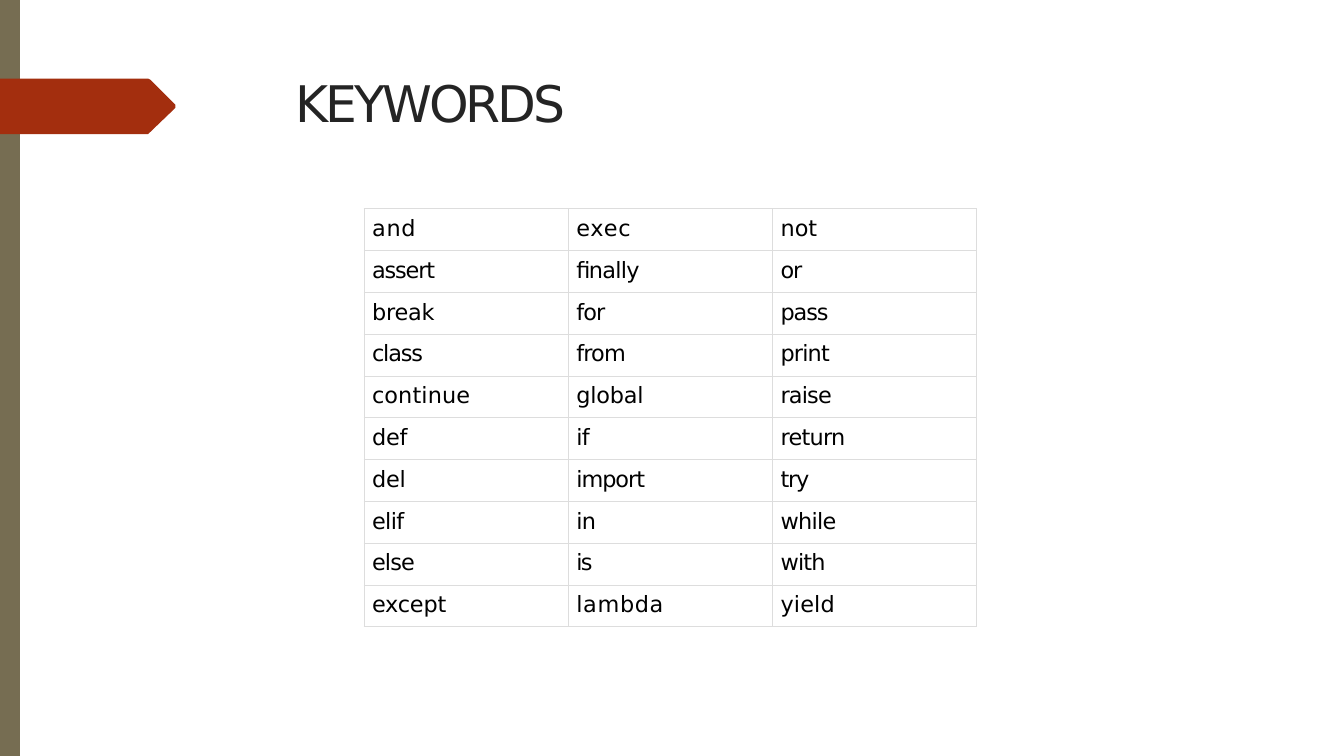
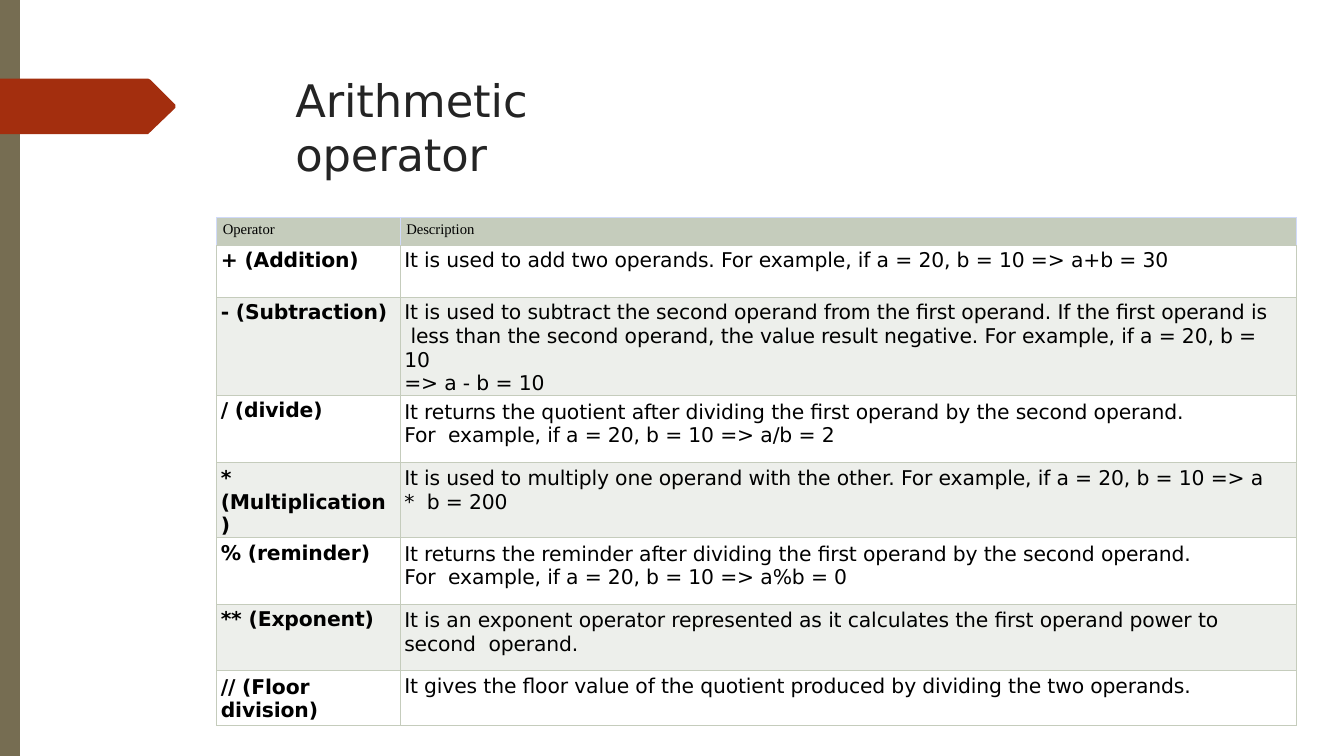
import pptx
import pptx.util
import pptx.dml.color
import pptx.enum.text
import pptx.oxml.ns
import lxml.etree

Inches = pptx.util.Inches
Pt = pptx.util.Pt
RGBColor = pptx.dml.color.RGBColor

OLIVE = RGBColor(0x76, 0x6D, 0x52)
RUST = RGBColor(0xA3, 0x2E, 0x0E)
INK = RGBColor(0x24, 0x24, 0x24)
BLACK = RGBColor(0, 0, 0)
WHITE = RGBColor(255, 255, 255)
SAGE = RGBColor(0xC5, 0xCC, 0xBC)
MIST = RGBColor(0xED, 0xEF, 0xEB)
GREY = RGBColor(0xDD, 0xDD, 0xDD)
SKY = RGBColor(0xD0, 0xDA, 0xFA)

SANS = "DejaVu Sans"
WORD = {"name": SANS, "size": Pt(16)}
HEAD = {"name": "Times New Roman", "size": Pt(10.5)}
NAME = {"name": SANS, "size": Pt(14.5), "bold": True}
BODY = {"name": SANS, "size": Pt(14.5), "bold": False}

STRIPE = [(0, 0), (0.2, 0), (0.2, 7.5), (0, 7.5)]
ARROW = [(0, 0.78), (1.47, 0.78), (1.49, 0.79), (1.74, 1.04),
         (1.74, 1.07), (1.48, 1.32), (1.47, 1.33), (0, 1.33)]

WORDS = [
    [("and", 0.6), ("exec", 0.6), ("not", 0)],
    [("assert", -0.8), ("finally", -0.5), ("or", -0.9)],
    [("break", -0.1), ("for", -0.6), ("pass", -0.8)],
    [("class", -0.8), ("from", -0.6), ("print", -0.6)],
    [("continue", 0.1), ("global", -0.1), ("raise", -0.6)],
    [("def", -0.1), ("if", -0.4), ("return", -0.5)],
    [("del", -0.1), ("import", -0.7), ("try", -0.9)],
    [("elif", -0.4), ("in", -0.4), ("while", -0.5)],
    [("else", -0.6), ("is", -1.2), ("with", -0.6)],
    [("except", -0.1), ("lambda", 0.5), ("yield", 0.1)],
]

RULES = [
    ("+ (Addition)",
     "It is used to add two operands. For example, if a = 20, b = 10 => a+b = 30",
     0.51, 0.03, 0.03, 0.3),
    ("- (Subtraction)",
     "It is used to subtract the second operand from the first operand. "
     "If the first operand is  less than the second operand, the value result "
     "negative. For example, if a = 20, b = 10\n=> a - b = 10",
     0.96, 0.04, 0.04, 0.3),
    ("/ (divide)",
     "It returns the quotient after dividing the first operand by the second "
     "operand. For  example, if a = 20, b = 10 => a/b = 2",
     0.66, 0.03, 0.05, 0.85),
    ("* (Multiplication)",
     "It is used to multiply one operand with the other. "
     "For example, if a = 20, b = 10 => a *  b = 200",
     0.75, 0.05, 0.05, 0.2),
    ("% (reminder)",
     "It returns the reminder after dividing the first operand by the second "
     "operand. For  example, if a = 20, b = 10 => a%b = 0",
     0.66, 0.04, 0.05, 0.85),
    ("** (Exponent)",
     "It is an exponent operator represented as it calculates the first "
     "operand power to second  operand.",
     0.66, 0.04, 0.05, 0.3),
    ("// (Floor division)",
     "It gives the floor value of the quotient produced by dividing the two "
     "operands.",
     0.54, 0.05, 0.04, 0.3),
]


def put(item, form):
    for key, value in form.items():
        setattr(item, key, value)


def write(frame, text, form, color, gap=0, line=None):
    frame.text = text
    for para in frame.paragraphs:
        para.line_spacing = line
        for run in para.runs:
            put(run.font, form)
            run.font.color.rgb = color
            run._r.get_or_add_rPr().set("spc", str(round(gap * 100)))


def draw(slide, points, color):
    spots = [(Inches(x), Inches(y)) for x, y in points]
    pen = slide.shapes.build_freeform(*spots[0])
    pen.add_line_segments(spots[1:], close=True)
    shape = pen.convert_to_shape()
    shape.shadow.inherit = False
    shape.fill.solid()
    shape.fill.fore_color.rgb = color
    shape.line.fill.background()


def start(deck, title, size, gap):
    slide = deck.slides.add_slide(deck.slide_layouts[6])
    draw(slide, STRIPE, OLIVE)
    draw(slide, ARROW, RUST)
    box = slide.shapes.add_textbox(
        Inches(2.93), Inches(0.71), Inches(4.1), Inches(0.63))
    put(box.text_frame, {
        "word_wrap": True, "margin_left": 0, "margin_right": 0,
        "margin_top": Inches(0.01), "margin_bottom": 0,
        "vertical_anchor": pptx.enum.text.MSO_ANCHOR.TOP})
    write(box.text_frame, title, {"name": SANS, "size": Pt(size)}, INK, gap)
    return slide


def grid(slide, left, top, cols, rows):
    table = slide.shapes.add_table(
        len(rows), len(cols), Inches(left), Inches(top),
        Inches(sum(cols)), Inches(sum(rows))).table
    put(table, {"first_row": False, "horz_banding": False})
    for col, width in zip(table.columns, cols):
        col.width = Inches(width)
    for row, height in zip(table.rows, rows):
        row.height = Inches(height)
    return table


def edge(cell, colors):
    props = cell._tc.get_or_add_tcPr()
    qn = pptx.oxml.ns.qn
    for spot, (side, color) in enumerate(zip("LRTB", colors)):
        line = lxml.etree.Element(qn("a:ln" + side), w=str(Pt(0.75)))
        fill = lxml.etree.SubElement(line, qn("a:solidFill"))
        lxml.etree.SubElement(fill, qn("a:srgbClr"), val=str(color))
        props.insert(spot, line)


def style(cell, inset, fill, colors):
    left, top, right = inset
    put(cell, {"margin_left": Inches(left), "margin_top": Inches(top),
               "margin_right": Inches(right), "margin_bottom": 0})
    if fill is None:
        cell.fill.background()
    else:
        cell.fill.solid()
        cell.fill.fore_color.rgb = fill
    edge(cell, colors)


def keywords(deck):
    slide = start(deck, "KEYWORDS", 36, -2.1)
    count = len(WORDS)
    table = grid(slide, 3.61, 2.07, [6.08 / 3] * 3, [4.15 / count] * count)
    for y, row in enumerate(WORDS):
        for x, (word, gap) in enumerate(row):
            cell = table.cell(y, x)
            write(cell.text_frame, word, WORD, BLACK, gap)
            style(cell, (0.08, 0.07, 0), None, [GREY] * 4)


def maths(deck):
    slide = start(deck, "Arithmetic operator", 32, -0.1)
    table = grid(slide, 2.15, 2.16, [1.82, 8.89],
                 [0.28] + [rule[2] for rule in RULES])
    for x, label in enumerate(["Operator", "Description"]):
        cell = table.cell(0, x)
        write(cell.text_frame, label, HEAD, BLACK)
        style(cell, (0.06, 0.04, 0), SAGE, [SKY, SKY, SKY, SAGE])
    for y, (name, text, _, high, low, right) in enumerate(RULES, 1):
        fill = WHITE if y % 2 else MIST
        parts = [(name, NAME, high, 0.1), (text, BODY, low, right)]
        for x, (words, form, top, side) in enumerate(parts):
            cell = table.cell(y, x)
            write(cell.text_frame, words, form, BLACK, -0.1, Pt(16.8))
            style(cell, (0.04, top, side), fill, [SAGE] * 4)


def main():
    deck = pptx.Presentation()
    put(deck, {"slide_width": Inches(13.33), "slide_height": Inches(7.5)})
    keywords(deck)
    maths(deck)
    deck.save("out.pptx")


if __name__ == "__main__":
    main()
